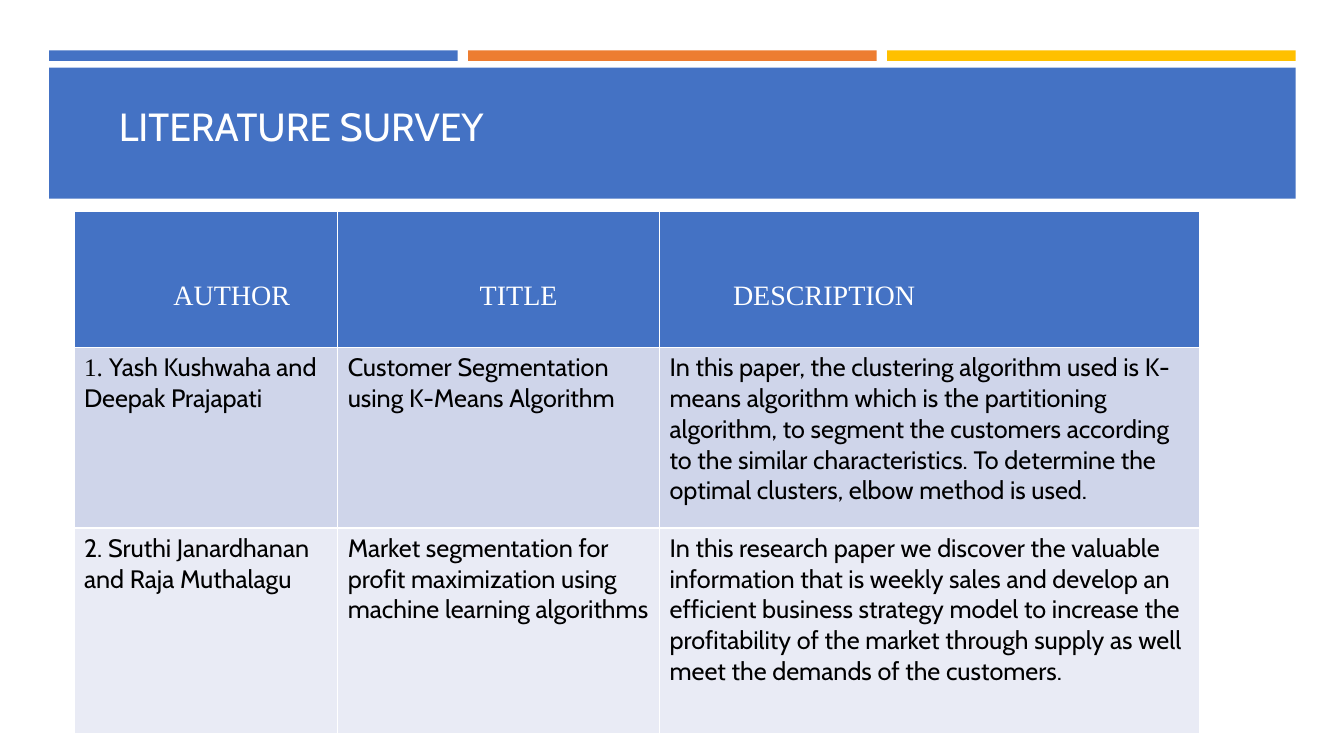
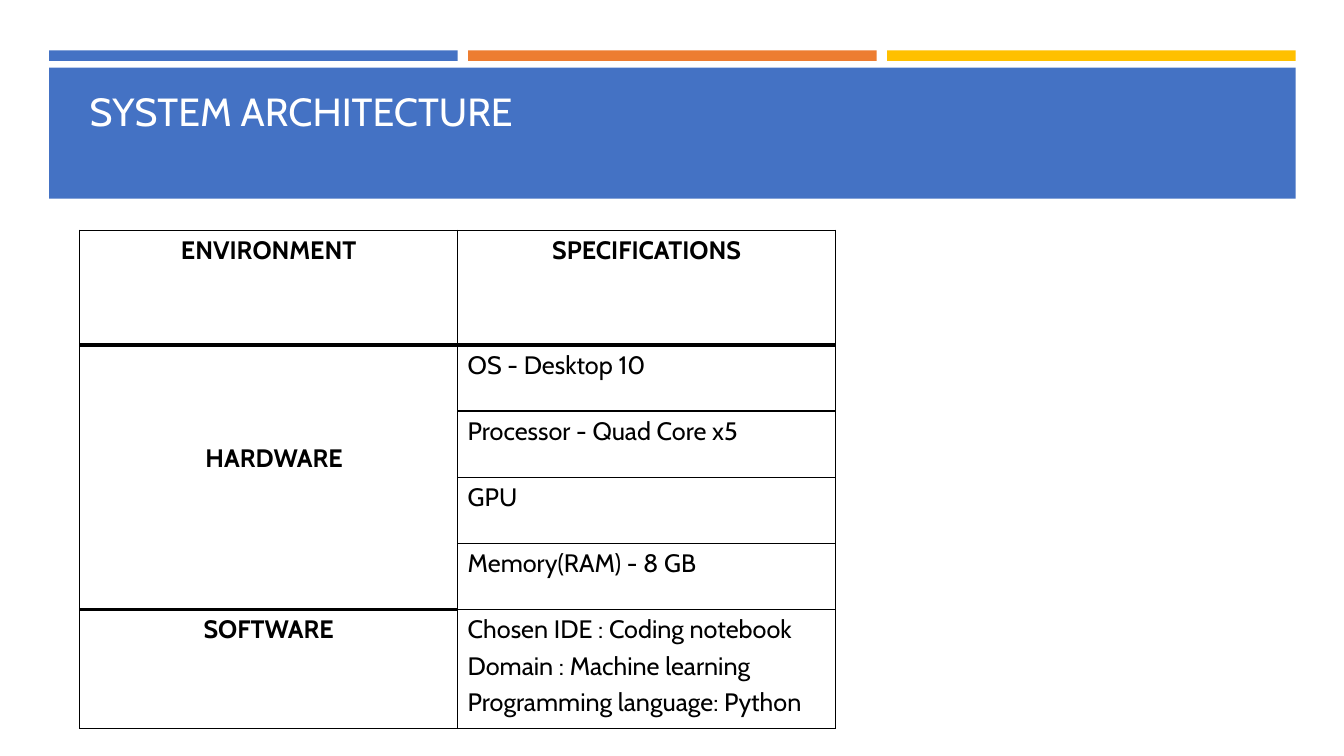
from dataclasses import dataclass

from lxml import etree
from pptx import Presentation
from pptx.dml.color import RGBColor
from pptx.enum.shapes import MSO_SHAPE
from pptx.enum.text import MSO_ANCHOR, PP_ALIGN
from pptx.oxml.ns import qn
from pptx.util import Pt

RECTANGLE = MSO_SHAPE.RECTANGLE
MIDDLE = MSO_ANCHOR.MIDDLE
LEFT, CENTER = PP_ALIGN.LEFT, PP_ALIGN.CENTER

BLUE, ORANGE, GOLD = "4472C4", "ED7D31", "FFC000"
WHITE, BLACK = "FFFFFF", "000000"
BAND_DARK, BAND_LIGHT = "CFD5EA", "E9EBF5"
SANS, SERIF = "Cabin", "Times New Roman"


def color(value):
    return RGBColor.from_string(value)


@dataclass
class CellStyle:
    fill: str = WHITE
    text_color: str = BLACK
    font: str = SANS
    size: float = 18
    bold: bool = False
    align: int = LEFT
    left: float = 7.2
    top: float = 3.6
    border: str = BLACK
    above: float = 1
    below: float = 1
    lead: str = ""


class Deck:
    margin, content_width = 35, 890.5
    bar_top, bar_height, bar_gap = 36, 7.5, 7.5
    banner_top, banner_height = 48.4, 93.6
    title_height, title_size = 54, 28
    line_spacing_before = 4

    def __init__(self):
        self.presentation = Presentation()
        self.presentation.slide_width = Pt(960)
        self.presentation.slide_height = Pt(540)
        self.slide = None

    def add_slide(self, title, title_left, title_top):
        layout = self.presentation.slide_layouts[6]
        self.slide = self.presentation.slides.add_slide(layout)
        bars = (BLUE, ORANGE, GOLD)
        width = (self.content_width - self.bar_gap * (len(bars) - 1)) / len(bars)
        for index, fill in enumerate(bars):
            left = self.margin + index * (width + self.bar_gap)
            self.rectangle(left, self.bar_top, width, self.bar_height, fill)
        self.rectangle(self.margin, self.banner_top, self.content_width,
                       self.banner_height, BLUE)
        self.title(title, title_left, title_top)

    def rectangle(self, left, top, width, height, fill):
        shape = self.slide.shapes.add_shape(
            RECTANGLE, Pt(left), Pt(top), Pt(width), Pt(height))
        shape.shadow.inherit = False
        shape.fill.solid()
        shape.fill.fore_color.rgb = color(fill)
        shape.line.fill.background()

    def title(self, text, left, top):
        shape = self.slide.shapes.add_textbox(
            Pt(left), Pt(top), Pt(724), Pt(self.title_height))
        frame = shape.text_frame
        frame.word_wrap = True
        frame.vertical_anchor = MIDDLE
        paragraph = frame.paragraphs[0]
        paragraph.text = text
        self.set_font(paragraph.font, SANS, self.title_size, WHITE)

    def set_font(self, font, name, size, text_color, bold=False):
        font.name = name
        font.size = Pt(size)
        font.bold = bold
        font.color.rgb = color(text_color)

    def table(self, left, top, widths, heights):
        frame = self.slide.shapes.add_table(
            len(heights), len(widths), Pt(left), Pt(top),
            Pt(sum(widths)), Pt(sum(heights)))
        table = frame.table
        table.first_row = False
        table.horz_banding = False
        for column, width in zip(table.columns, widths):
            column.width = Pt(width)
        for row, height in zip(table.rows, heights):
            row.height = Pt(height)
        return table

    def cell(self, cell, text, style):
        self.borders(cell, style)
        cell.fill.solid()
        cell.fill.fore_color.rgb = color(style.fill)
        cell.margin_left = Pt(style.left)
        cell.margin_top = Pt(style.top)
        frame = cell.text_frame
        for index, line in enumerate(text.split("\n")):
            paragraph = frame.add_paragraph() if index else frame.paragraphs[0]
            paragraph.alignment = style.align
            self.set_font(paragraph.font, style.font, style.size,
                          style.text_color, style.bold)
            if index:
                paragraph.space_before = Pt(self.line_spacing_before)
            elif style.lead:
                lead = paragraph.add_run()
                lead.text = style.lead
                lead.font.name = SERIF
            if line:
                paragraph.add_run().text = line

    def borders(self, cell, style):
        properties = cell._tc.get_or_add_tcPr()
        sides = (("a:lnL", 1), ("a:lnR", 1),
                 ("a:lnT", style.above), ("a:lnB", style.below))
        for tag, width in sides:
            line = etree.SubElement(properties, qn(tag), w=str(Pt(width)))
            fill = etree.SubElement(line, qn("a:solidFill"))
            etree.SubElement(fill, qn("a:srgbClr"), val=style.border)


def add_literature_survey(deck):
    deck.add_slide("LITERATURE SURVEY", 77.8, 62.6)
    table = deck.table(52.8, 151, (188.4, 229.9, 385.7), (97.2, 128.9, 146.6))
    headings = (("AUTHOR", 71), ("TITLE", 101.5), ("DESCRIPTION", 52.5))
    for column, (heading, left) in enumerate(headings):
        deck.cell(table.cell(0, column), heading, CellStyle(
            BLUE, WHITE, SERIF, 20, left=left, top=49.5, border=WHITE))
    papers = (
        ("Yash Kushwaha and Deepak Prajapati",
         "Customer Segmentation using K-Means Algorithm",
         "In this paper, the clustering algorithm used is K-means algorithm "
         "which is the partitioning algorithm, to segment the customers "
         "according to the similar characteristics. To determine the optimal "
         "clusters, elbow method is used."),
        ("2. Sruthi Janardhanan and Raja Muthalagu",
         "Market segmentation for profit maximization using machine learning "
         "algorithms",
         "In this research paper we discover the valuable information that is "
         "weekly sales and develop an efficient business strategy model to "
         "increase the profitability of the market through supply as well "
         "meet the demands of the customers."),
    )
    for row, (paper, fill) in enumerate(zip(papers, (BAND_DARK, BAND_LIGHT)), 1):
        for column, text in enumerate(paper):
            lead = "1. " if (row, column) == (1, 0) else ""
            deck.cell(table.cell(row, column), text,
                      CellStyle(fill, border=WHITE, lead=lead))


def add_system_architecture(deck):
    deck.add_slide("SYSTEM ARCHITECTURE", 56.9, 51.8)
    table = deck.table(56.9, 164.5, (270, 270), (81.8, *[47.3] * 4, 84.9))
    for column, heading in enumerate(("ENVIRONMENT", "SPECIFICATIONS")):
        deck.cell(table.cell(0, column), heading,
                  CellStyle(bold=True, align=CENTER, below=3))

    table.cell(1, 0).merge(table.cell(4, 0))
    for row in range(1, 5):
        deck.cell(table.cell(row, 0), "HARDWARE" if row == 1 else "", CellStyle(
            bold=True, align=CENTER, left=15, top=70 if row == 1 else 3.6,
            above=3 if row == 1 else 1, below=3 if row == 4 else 1))
    deck.cell(table.cell(5, 0), "SOFTWARE",
              CellStyle(bold=True, align=CENTER, above=3))

    specifications = (
        "OS - Desktop 10",
        "Processor - Quad Core x5",
        "GPU",
        "Memory(RAM) - 8 GB",
        "Chosen IDE : Coding notebook\nDomain : Machine learning\n"
        "Programming language: Python",
    )
    for row, text in enumerate(specifications, 1):
        deck.cell(table.cell(row, 1), text,
                  CellStyle(above=3 if row == 1 else 1))


def main():
    deck = Deck()
    add_literature_survey(deck)
    add_system_architecture(deck)
    deck.presentation.save("out.pptx")


if __name__ == "__main__":
    main()
